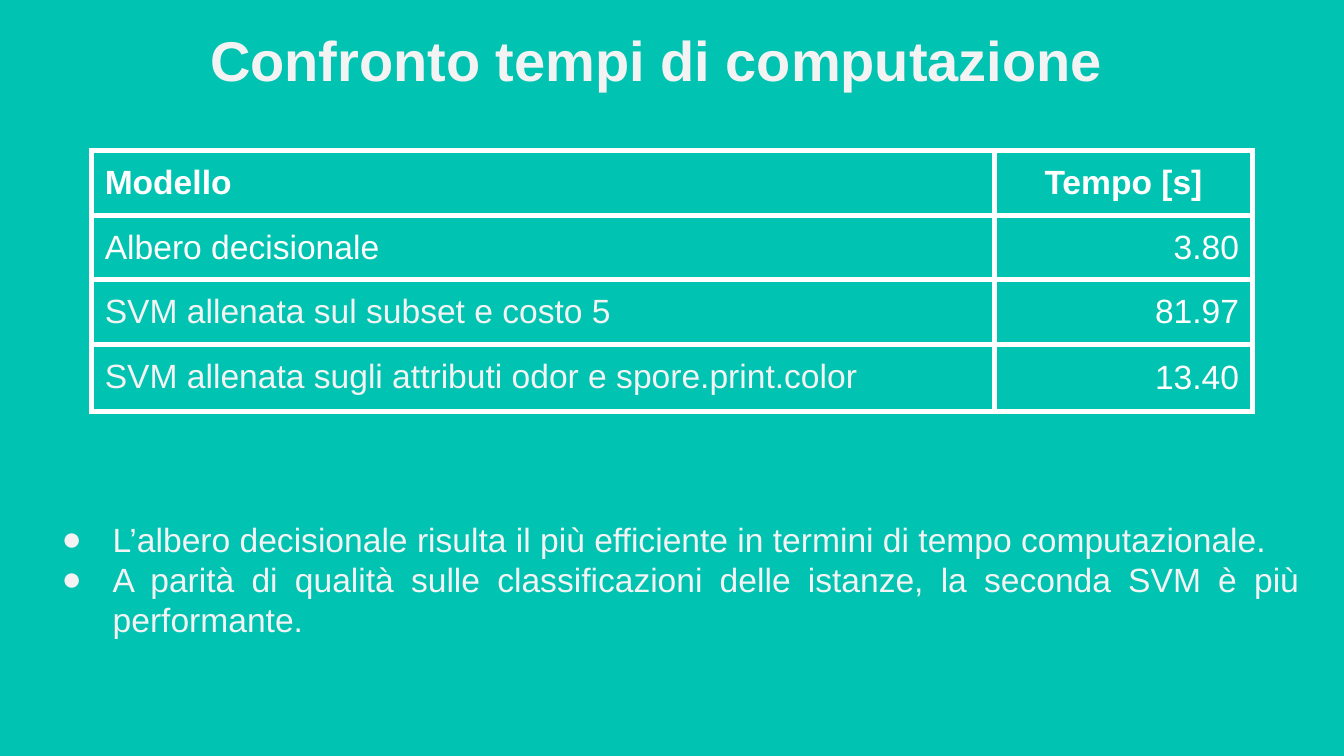
from lxml.etree import SubElement
from pptx import Presentation
from pptx.dml.color import RGBColor as RGB
from pptx.enum.text import MSO_ANCHOR as Anchor, PP_ALIGN as Align
from pptx.oxml import parse_xml
from pptx.oxml.ns import nsdecls, qn
from pptx.util import Inches, Pt

# Content
TITLE = "Confronto tempi di computazione"
HEADER = ("Modello", "Tempo [s]")
TIMES = [
    ("Albero decisionale", "3.80"),
    ("SVM allenata sul subset e costo 5", "81.97"),
    ("SVM allenata sugli attributi odor e spore.print.color", "13.40"),
]
FINDINGS = [
    "L’albero decisionale risulta il più efficiente in termini di tempo computazionale.",
    "A parità di qualità sulle classificazioni delle istanze, la seconda SVM è più performante.",
]

# Theme and grid
THEME = dict(font="Arial", back="00C3B1", white="FFFFFF", soft="F3F3F3",
             title=30, body=18, border=3)
WIDTH = 10
HEIGHT = WIDTH * 9 / 16
COLS = (6.72, 1.92)
ROWS = (0.48, 0.48, 0.48, 0.5)
TABLE_LEFT = (WIDTH - sum(COLS)) / 2
TABLE_TOP = 1.12


def write(p, text, size=THEME["body"], color=THEME["white"], bold=False, align=Align.LEFT):
    p.alignment = align
    r = p.add_run()
    r.text = text
    r.font.name, r.font.size, r.font.bold = THEME["font"], Pt(size), bold
    r.font.color.rgb = RGB.from_string(color)


def place(shape, left, top, width, height):
    shape.left, shape.top = Inches(left), Inches(top)
    shape.width, shape.height = Inches(width), Inches(height)


def set_frame(tf):
    tf.word_wrap = True
    tf.vertical_anchor = Anchor.TOP
    tf.margin_left = tf.margin_right = tf.margin_top = tf.margin_bottom = Inches(0.1)


def add_borders(cell):
    tc_pr = cell._tc.get_or_add_tcPr()
    for i, side in enumerate("LRTB"):
        tc_pr.insert(i, parse_xml(
            f'<a:ln{side} {nsdecls("a")} w="{Pt(THEME["border"])}"><a:solidFill>'
            f'<a:srgbClr val="{THEME["white"]}"/></a:solidFill></a:ln{side}>'))


def add_bullet(p):
    p_pr = p._p.get_or_add_pPr()
    p_pr.set("marL", str(Inches(0.5)))
    p_pr.set("indent", str(Inches(-0.38)))
    color = SubElement(p_pr, qn("a:buClr"))
    SubElement(color, qn("a:srgbClr"), val=THEME["soft"])
    SubElement(p_pr, qn("a:buFont"), typeface=THEME["font"])
    SubElement(p_pr, qn("a:buChar"), char="●")


prs = Presentation()
prs.slide_width, prs.slide_height = Inches(WIDTH), Inches(HEIGHT)
s = prs.slides.add_slide(prs.slide_layouts[5])
s.background.fill.solid()
s.background.fill.fore_color.rgb = RGB.from_string(THEME["back"])

# Title
title = s.shapes.title
place(title, 0.67, 0.09, 8.43, 0.63)
set_frame(title.text_frame)
write(title.text_frame.paragraphs[0], TITLE, size=THEME["title"],
      color=THEME["soft"], bold=True, align=Align.CENTER)

# Table of computing times
frame = s.shapes.add_table(len(ROWS), len(COLS), Inches(TABLE_LEFT), Inches(TABLE_TOP),
                           Inches(sum(COLS)), Inches(sum(ROWS)))
table = frame.table
for col, width in zip(table.columns, COLS):
    col.width = Inches(width)
for row, height in zip(table.rows, ROWS):
    row.height = Inches(height)
for i, values in enumerate([HEADER, *TIMES]):
    for j, value in enumerate(values):
        cell = table.cell(i, j)
        cell.margin_left = cell.margin_right = Inches(0.1)
        cell.margin_top = cell.margin_bottom = Inches(0.1)
        cell.vertical_anchor = Anchor.MIDDLE if i and j else Anchor.TOP
        cell.fill.background()
        add_borders(cell)
        number_align = Align.RIGHT if i else Align.CENTER
        write(cell.text_frame.paragraphs[0], value, bold=i == 0,
              color=THEME["soft"] if i > 1 and j == 0 else THEME["white"],
              align=number_align if j else Align.LEFT)

# Findings
box = s.shapes.add_textbox(0, 0, 0, 0)
place(box, 0.24, 3.76, 9.53, 1.05)
tf = box.text_frame
set_frame(tf)
for i, finding in enumerate(FINDINGS):
    p = tf.add_paragraph() if i else tf.paragraphs[0]
    add_bullet(p)
    write(p, finding, color=THEME["soft"], align=Align.JUSTIFY)

prs.save("out.pptx")
